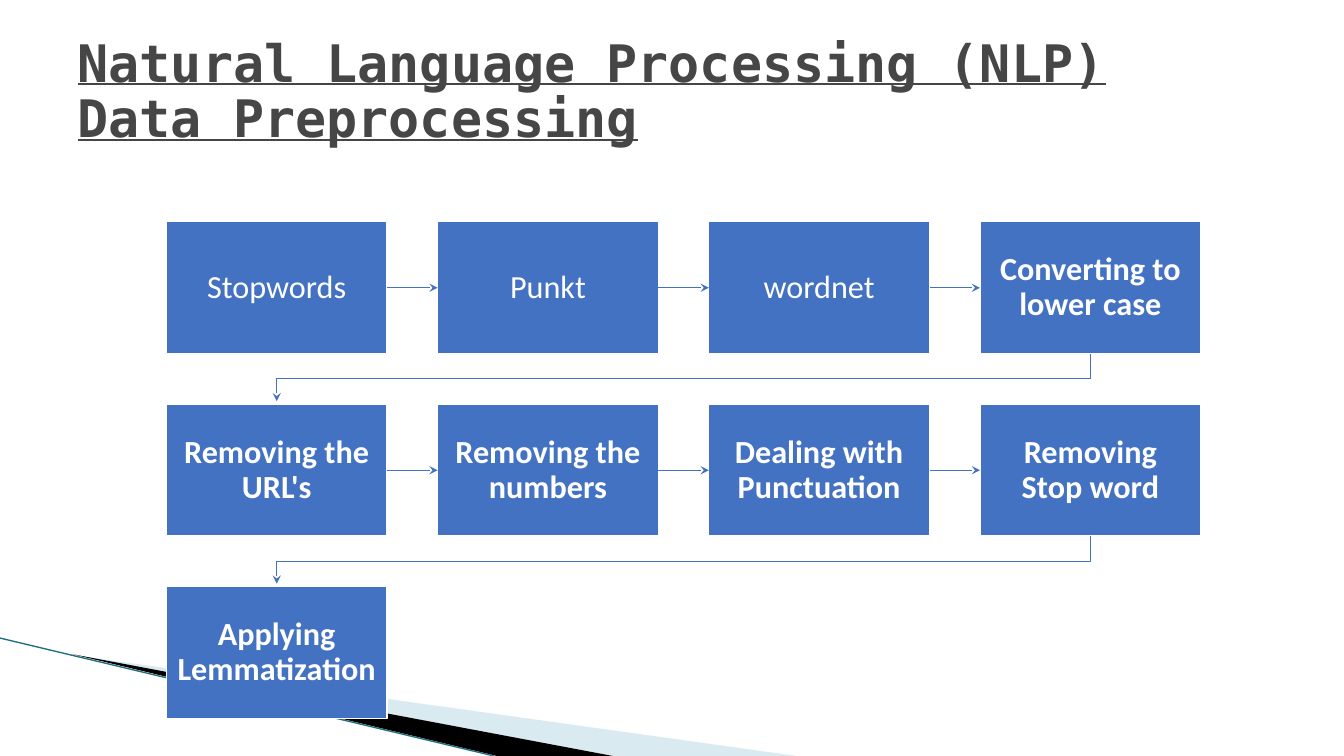
from dataclasses import dataclass

from lxml import etree
from pptx import Presentation
from pptx.dml.color import RGBColor
from pptx.enum.shapes import MSO_CONNECTOR, MSO_SHAPE
from pptx.enum.text import MSO_ANCHOR, MSO_AUTO_SIZE, PP_ALIGN
from pptx.oxml.ns import qn
from pptx.util import Inches, Pt

STRAIGHT = MSO_CONNECTOR.STRAIGHT
RECTANGLE = MSO_SHAPE.RECTANGLE
MIDDLE = MSO_ANCHOR.MIDDLE
NO_AUTOFIT = MSO_AUTO_SIZE.NONE
LEFT, CENTER = PP_ALIGN.LEFT, PP_ALIGN.CENTER
RIGHT_SIDE, LEFT_SIDE = 3, 1
TITLE_ONLY_LAYOUT = 5


@dataclass(frozen=True)
class Theme:
    title_font: str = "DejaVu Sans Mono"
    step_font: str = "Calibri"
    title_size: float = 36.9
    step_size: float = 23
    title_color: str = "464646"
    step_color: str = "4372C3"
    light: str = "FFFFFF"
    pale_wave: str = "A0CBDC"
    dark_wave: str = "000000"
    wave_edge: str = "1F6F80"
    line_spacing: float = 0.9


class SlideBuilder:
    def __init__(self, slide, theme):
        self.slide = slide
        self.shapes = slide.shapes
        self.theme = theme

    def add_span(self, para, text, font, size, color, bold, align):
        para.alignment = align
        para.line_spacing = self.theme.line_spacing
        para.space_before = Pt(0)
        span = para.add_run()
        span.text = text
        span.font.name = font
        span.font.size = Pt(size)
        span.font.bold = bold
        span.font.color.rgb = RGBColor.from_string(color)
        return span

    def title(self, lines):
        box = self.shapes.title
        box.left, box.top = Inches(0.67), Inches(0.3)
        box.width, box.height = Inches(12), Inches(1.25)
        frame = box.text_frame
        frame.auto_size = NO_AUTOFIT
        frame.vertical_anchor = MIDDLE
        for index, line in enumerate(lines):
            para = frame.add_paragraph() if index else frame.paragraphs[0]
            span = self.add_span(para, line, self.theme.title_font, self.theme.title_size,
                                 self.theme.title_color, True, LEFT)
            span.font.underline = True

    def outline(self, points, closed):
        corners = [(Inches(x), Inches(y)) for x, y in points]
        builder = self.shapes.build_freeform(*corners[0], scale=1.0)
        builder.add_line_segments(corners[1:], close=closed)
        shape = builder.convert_to_shape()
        shape.shadow.inherit = False
        return shape

    def wave(self, points, color, opacity=100):
        shape = self.outline(points, True)
        shape.fill.solid()
        shape.fill.fore_color.rgb = RGBColor.from_string(color)
        shape.line.fill.background()
        if opacity < 100:
            fill_color = shape._element.spPr.find(qn("a:solidFill"))[0]
            etree.SubElement(fill_color, qn("a:alpha"), val=str(opacity * 1000))

    def stroke(self, shape, color, width, arrow=False):
        shape.line.color.rgb = RGBColor.from_string(color)
        shape.line.width = Pt(width)
        if arrow:
            outline = shape._element.spPr.find(qn("a:ln"))
            etree.SubElement(outline, qn("a:tailEnd"), type="stealth")

    def line(self, start, end, color, width, arrow=False):
        ends = [Inches(value) for value in (*start, *end)]
        connector = self.shapes.add_connector(STRAIGHT, *ends)
        self.stroke(connector, color, width, arrow)
        etree.SubElement(connector._element.spPr, qn("a:effectLst"))
        return connector

    def step(self, text, bold, left, top, width, height):
        box = self.shapes.add_shape(RECTANGLE, Inches(left), Inches(top),
                                    Inches(width), Inches(height))
        box.shadow.inherit = False
        box.fill.solid()
        box.fill.fore_color.rgb = RGBColor.from_string(self.theme.step_color)
        self.stroke(box, self.theme.light, 1)
        frame = box.text_frame
        frame.word_wrap = True
        frame.vertical_anchor = MIDDLE
        frame.margin_left = frame.margin_right = Inches(0.11)
        frame.margin_top = frame.margin_bottom = Inches(0.11)
        self.add_span(frame.paragraphs[0], text, self.theme.step_font, self.theme.step_size,
                      self.theme.light, bold, CENTER)
        return box

    def next_arrow(self, source, target):
        connector = self.line((0, 0), (0, 0), self.theme.step_color, 0.75, arrow=True)
        connector.begin_connect(source, RIGHT_SIDE)
        connector.end_connect(target, LEFT_SIDE)

    def row_arrow(self, points):
        shape = self.outline(points, False)
        shape.fill.background()
        self.stroke(shape, self.theme.step_color, 0.75, arrow=True)


STEPS = [
    ("Stopwords", False), ("Punkt", False), ("wordnet", False),
    ("Converting to lower case", True),
    ("Removing the URL's", True), ("Removing the numbers", True),
    ("Dealing with Punctuation", True), ("Removing Stop word", True),
    ("Applying Lemmatization", True),
]
COLUMNS = 4
GRID_LEFT, GRID_TOP = 1.65, 2.2
STEP_WIDTH, STEP_HEIGHT = 2.19, 1.31
GAP_X, GAP_Y = 0.5, 0.5


def main():
    deck = Presentation()
    deck.slide_width, deck.slide_height = Inches(13.33), Inches(7.5)
    theme = Theme()
    page = SlideBuilder(deck.slides.add_slide(deck.slide_layouts[TITLE_ONLY_LAYOUT]), theme)

    # Title
    page.title(["Natural Language Processing (NLP)", "Data Preprocessing"])

    # Corner waves
    page.wave([(0.73, 6.5), (7.9, 7.5), (6.08, 7.5)], theme.pale_wave, opacity=40)
    page.wave([(0.72, 6.49), (6.08, 7.5), (4.93, 7.5)], theme.dark_wave)
    page.line((0, 6.33), (4.9, 7.5), theme.wave_edge, 0.95)

    # Step boxes, row by row
    boxes = []
    for index, (text, bold) in enumerate(STEPS):
        row, column = divmod(index, COLUMNS)
        left = GRID_LEFT + column * (STEP_WIDTH + GAP_X)
        top = GRID_TOP + row * (STEP_HEIGHT + GAP_Y)
        boxes.append(page.step(text, bold, left, top, STEP_WIDTH, STEP_HEIGHT))

    # Arrows along each row, and from each row's end to the next row
    first_center = GRID_LEFT + STEP_WIDTH / 2
    last_center = first_center + (COLUMNS - 1) * (STEP_WIDTH + GAP_X)
    for index in range(1, len(boxes)):
        row, column = divmod(index, COLUMNS)
        if column:
            page.next_arrow(boxes[index - 1], boxes[index])
        else:
            next_top = GRID_TOP + row * (STEP_HEIGHT + GAP_Y)
            bend = next_top - GAP_Y / 2
            page.row_arrow([(last_center, next_top - GAP_Y), (last_center, bend),
                            (first_center, bend), (first_center, next_top - 0.03)])

    deck.save("out.pptx")


if __name__ == "__main__":
    main()
